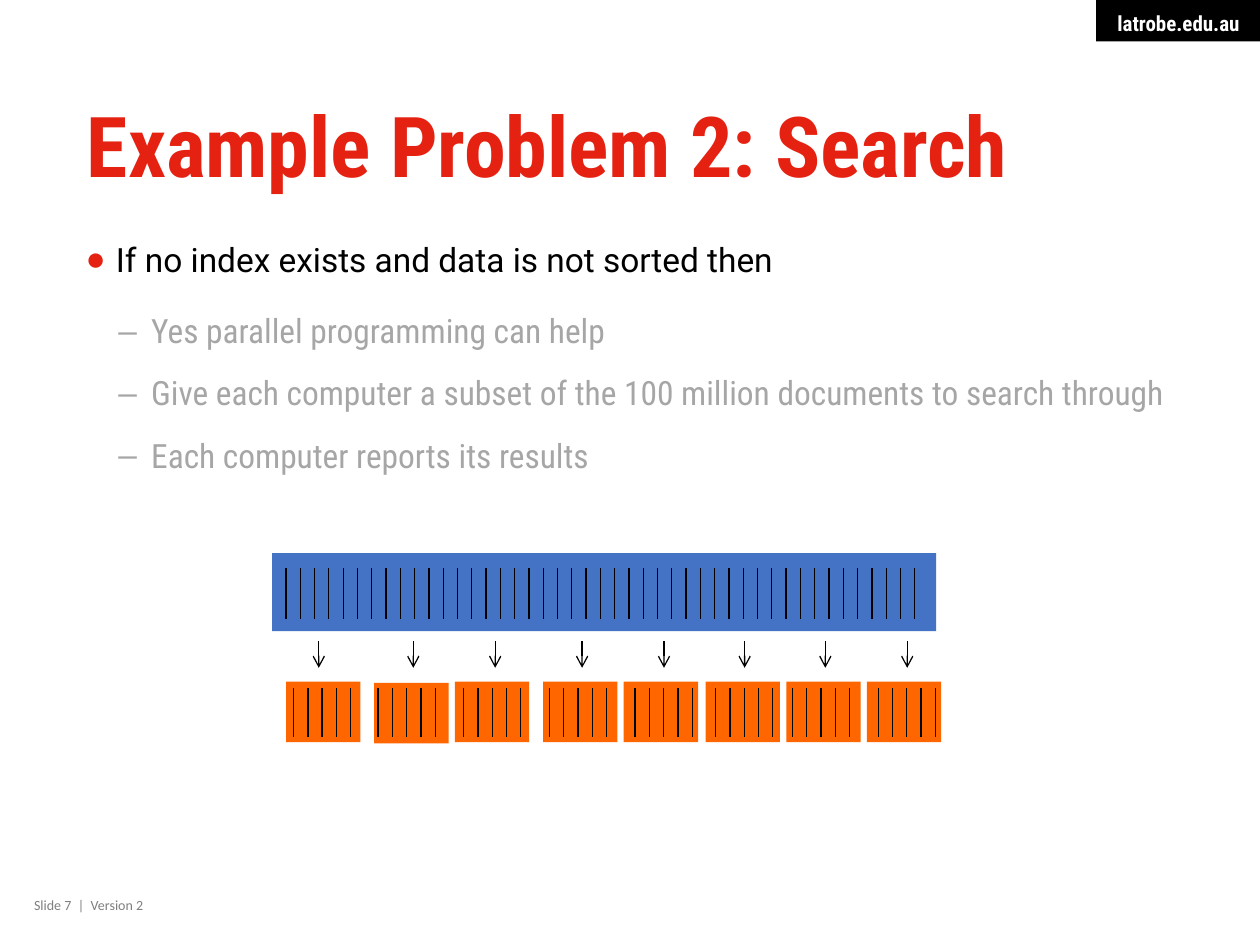
"""Build the slide on searching unsorted data in parallel."""
from lxml import etree
from pptx import Presentation, util as u
from pptx.dml.color import RGBColor
from pptx.enum import shapes, text
from pptx.oxml.ns import qn

deck = Presentation()
deck.slide_width, deck.slide_height = u.Inches(10), u.Inches(7.5)
slide = deck.slides.add_slide(deck.slide_layouts[1])
items = slide.shapes
title, body = slide.placeholders


def write(shape, place, pad, rows):
    """Place a shape and fill it with (words, font, paragraph, bullet) rows."""
    for key, val in zip(("left", "top", "width", "height"), place):
        setattr(shape, key, u.Inches(val))
    frame = shape.text_frame
    frame.auto_size, frame.word_wrap = text.MSO_AUTO_SIZE.NONE, True
    frame.vertical_anchor = text.MSO_ANCHOR.TOP
    for side, val in zip(("left", "top", "right", "bottom"), pad):
        setattr(frame, "margin_" + side, u.Inches(val))
    for i, (words, font, form, mark) in enumerate(rows):
        para = frame.add_paragraph() if i else frame.paragraphs[0]
        if mark:
            char, hue, left, hang = mark
            prop = para._p.get_or_add_pPr()
            prop.set("marL", str(u.Inches(left)))
            prop.set("indent", str(-u.Inches(hang)))
            tint = etree.SubElement(prop, qn("a:buClr"))
            etree.SubElement(tint, qn("a:srgbClr")).set("val", hue)
            etree.SubElement(prop, qn("a:buChar")).set("char", char)
        for key, val in form.items():
            setattr(para, key, val)
        run = para.add_run()
        run.text = words
        name, size, bold, hue = font
        for key, val in {"name": name, "size": u.Pt(size), "bold": bold}.items():
            setattr(run.font, key, val)
        run.font.color.rgb = RGBColor.from_string(hue)


def block(left, top, width, height, hue):
    """Add a plain filled rectangle."""
    rect = items.add_shape(shapes.MSO_SHAPE.RECTANGLE, *map(u.Inches, (left, top, width, height)))
    rect.shadow.inherit = False
    rect.fill.solid()
    rect.fill.fore_color.rgb = RGBColor.from_string(hue)
    rect.line.fill.background()
    return rect


cond = "Roboto Condensed"
left, right = text.PP_ALIGN.LEFT, text.PP_ALIGN.RIGHT
none = (0, 0, 0, 0)

tag = (8.7, 0, 1.3, 0.33)
write(block(*tag, "000000"), tag, (0.1, 0.08, 0.16, 0.05),
      [("latrobe.edu.au", (cond, 12, True, "FFFFFF"), {"alignment": right}, None)])
foot = (0.27, 7.07, 2.69, 0.24)
write(items.add_textbox(*map(u.Inches, foot)), foot, (0, 0.05, 0.1, 0.05),
      [("Slide 7  |  Version 2", ("Calibri", 8, False, "7F7F7F"), {}, None)])
write(title, (0.69, 0.78, 8.62, 1.45), none,
      [("Example Problem 2: Search", (cond, 48, True, "E52212"),
        {"alignment": left, "line_spacing": u.Pt(55)}, None)])

main = {"space_before": u.Pt(0), "space_after": u.Pt(15)}
sub = {"level": 1, "line_spacing": 0.9, "space_before": u.Pt(5), "space_after": u.Pt(10)}
rows = [("If no index exists and data is not sorted then", ("Roboto", 19.1, False, "000000"),
         main, ("●", "E52212", 0.24, 0.24))]
for words in ("Yes parallel programming can help",
              "Give each computer a subset of the 100 million documents to search through",
              "Each computer reports its results"):
    rows.append((words, (cond, 19.1, False, "A6A6A6"), sub, ("–", "A6A6A6", 0.52, 0.26)))
write(body, (0.68, 1.9, 8.62, 3.7), none, rows)

step = 4.99 / 44
block(2.16, 4.39, 5.27, 0.62, "4472C4")
lines = [(2.27 + i * step, 4.51, 4.91, False) for i in range(45)]
parts = ((2.27, 2.33, 2.53), (2.97, 3, 3.28), (3.61, 3.68, 3.93), (4.31, 4.36, 4.62),
         (4.95, 5.04, 5.27), (5.6, 5.68, 5.91), (6.24, 6.29, 6.55), (6.88, 6.97, 7.2))
for edge, tick, mid in parts:
    block(edge, 5.42 if edge == 2.97 else 5.41, 0.59, 0.48, "FF6600")
    lines += [(tick + i * step, 5.46, 5.85, False) for i in range(5)]
    lines.append((mid, 5.09, 5.3, True))

for x, top, end, head in lines:
    line = items.add_connector(shapes.MSO_CONNECTOR.STRAIGHT, *map(u.Inches, (x, top, x, end)))
    line.line.width = u.Pt(0.75)
    line.line.color.rgb = RGBColor.from_string("000000")
    if head:
        etree.SubElement(line.line._get_or_add_ln(), qn("a:tailEnd")).set("type", "arrow")
    etree.SubElement(line._element.spPr, qn("a:effectLst"))

deck.save("out.pptx")
